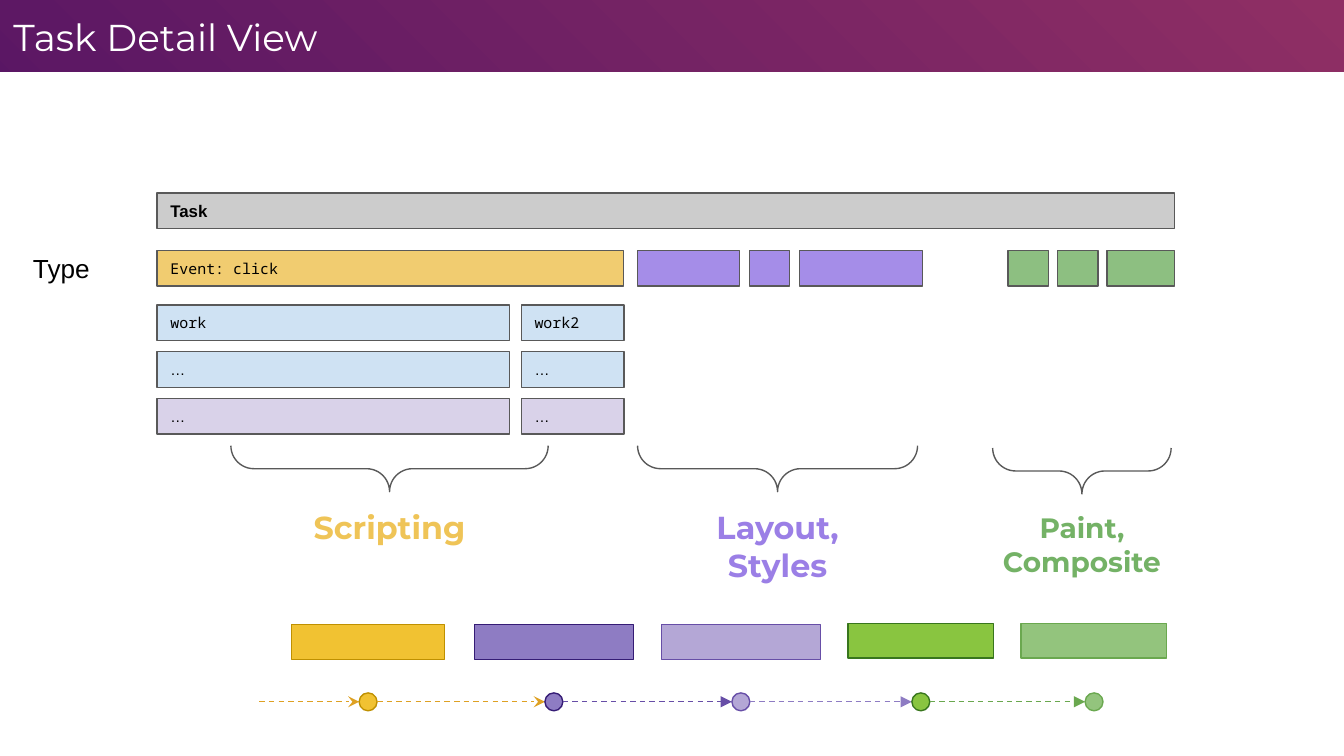
from pptx import Presentation
from pptx import util as u
from pptx.dml.color import RGBColor
from pptx.enum import dml, shapes, text
from pptx.oxml import parse_xml
from pptx.oxml.ns import nsdecls, qn

Pt = u.Pt
SHAPE = shapes.MSO_SHAPE

# Colours
WHITE, BLACK = RGBColor(255, 255, 255), RGBColor(0, 0, 0)
OUTLINE = RGBColor(0x59, 0x59, 0x59)
GRAY = RGBColor(0xCC, 0xCC, 0xCC)
YELLOW = RGBColor(0xEF, 0xC4, 0x57)
PURPLE = RGBColor(0x9B, 0x7F, 0xE6)
GREEN = RGBColor(0x74, 0xB2, 0x66)
PALE_BLUE = RGBColor(0xCF, 0xE2, 0xF3)
PALE_PURPLE = RGBColor(0xD9, 0xD2, 0xE9)
GOLD, DARK_GOLD = RGBColor(0xF1, 0xC2, 0x32), RGBColor(0xBF, 0x90, 0x00)
ORANGE = RGBColor(0xDE, 0xA1, 0x23)
VIOLET, DARK_VIOLET = RGBColor(0x8E, 0x7C, 0xC3), RGBColor(0x35, 0x1C, 0x75)
LILAC, INDIGO = RGBColor(0xB4, 0xA7, 0xD6), RGBColor(0x67, 0x4E, 0xA7)
LIME, DARK_LIME = RGBColor(0x89, 0xC5, 0x40), RGBColor(0x38, 0x76, 0x1D)
MINT, LEAF = RGBColor(0x93, 0xC4, 0x7D), RGBColor(0x6A, 0xA8, 0x4F)

# Content
MONO = "Noto Sans Mono"
BACKGROUND_STOPS = [(0, "F35C65"), (0, "8F2F64"), (64, "5D1864"), (100, "2B0163")]
TITLE_HEIGHT = 38.7
BAR_HEIGHT = 19
# top, fill, opacity, font, size, bold, [(left, width, label)]
BAR_ROWS = [
    (103.5, GRAY, 100, "Arial", 9, True, [(84.2, 545, "Task")]),
    (134.2, YELLOW, 85, MONO, 8, False, [(84.2, 250, "Event: click")]),
    (134.2, PURPLE, 89, MONO, 8, False,
     [(341.5, 54.8, ""), (401.4, 21.6, ""), (428.2, 66, "")]),
    (134.2, GREEN, 82, MONO, 8, False,
     [(540, 21.8, ""), (566.5, 21.8, ""), (593, 36.2, "")]),
]
CALL_ROWS = [(PALE_BLUE, MONO, ["work", "work2"]),
             (PALE_BLUE, "Arial", ["…", "…"]),
             (PALE_PURPLE, "Arial", ["…", "…"])]
CALL_COLUMNS = [(84.2, 188.7), (279.3, 55)]
CALL_TOP, CALL_PITCH = 163.4, 25.1
# centre, brace width, brace middle, label, label top, label width, height, size, colour
PHASES = [
    (208.7, 170, 251.1, "Scripting", 265, 99.4, 35.3, 17, YELLOW),
    (416.6, 150, 251.1, "Layout, Styles", 265, 91.4, 55.4, 17, PURPLE),
    (579.6, 95.6, 252.3, "Paint, Composite", 266.4, 135.4, 51.1, 15, GREEN),
]
BRACE_HEIGHT = 24.6
# centre, width, top, fill, line, colour and head of the arrow that leads in
STAGES = [
    (197.2, 82, 334.7, GOLD, DARK_GOLD, ORANGE, "stealth"),
    (296.7, 85.2, 334.7, VIOLET, DARK_VIOLET, ORANGE, "stealth"),
    (396.9, 85.2, 334.7, LILAC, INDIGO, INDIGO, "triangle"),
    (493.3, 78, 334.1, LIME, DARK_LIME, VIOLET, "triangle"),
    (586.1, 78, 334.1, MINT, LEAF, LEAF, "triangle"),
]
STAGE_HEIGHT = 18.5
DOT, TIMELINE_Y, TIMELINE_START = 9.6, 376, 138.9


def add_run(paragraph, words, font, size, color, bold=False):
    run = paragraph.add_run()
    run.text = words
    run.font.name, run.font.size, run.font.bold = font, Pt(size), bold
    run.font.color.rgb = color


def add_shape(kind, left, top, width, height, fill=None, line=None, opacity=100):
    shape = slide.shapes.add_shape(kind, Pt(left), Pt(top), Pt(width), Pt(height))
    shape.shadow.inherit = False
    if fill is None:
        shape.fill.background()
    else:
        shape.fill.solid()
        shape.fill.fore_color.rgb = fill
    if opacity < 100:
        color = shape._element.spPr.find(qn("a:solidFill"))[0]
        color.append(parse_xml(f'<a:alpha {nsdecls("a")} val="{opacity * 1000}"/>'))
    if line is None:
        shape.line.fill.background()
    else:
        shape.line.color.rgb, shape.line.width = line, Pt(0.75)
    return shape


def add_bar(left, top, width, label, fill, font, size, bold=False, opacity=100):
    bar = add_shape(SHAPE.RECTANGLE, left, top, width, BAR_HEIGHT, fill, OUTLINE, opacity)
    if label:
        frame = bar.text_frame
        frame.vertical_anchor = text.MSO_ANCHOR.MIDDLE
        frame.margin_left = frame.margin_right = Pt(7.2)
        frame.margin_top = frame.margin_bottom = Pt(7.2)
        frame.paragraphs[0].alignment = text.PP_ALIGN.LEFT
        add_run(frame.paragraphs[0], label, font, size, BLACK, bold)


def add_label(left, top, width, height, words, font, size, color, bold, alignment):
    box = slide.shapes.add_textbox(Pt(left), Pt(top), Pt(width), Pt(height))
    frame = box.text_frame
    frame.word_wrap = True
    frame.margin_left = frame.margin_right = Pt(7.2)
    frame.margin_top = frame.margin_bottom = Pt(7.2)
    frame.paragraphs[0].alignment = alignment
    add_run(frame.paragraphs[0], words, font, size, color, bold)


def add_arrow(start, end, color, head):
    arrow = slide.shapes.add_connector(
        shapes.MSO_CONNECTOR.CURVE, Pt(start), Pt(TIMELINE_Y), Pt(end), Pt(TIMELINE_Y))
    arrow.line.color.rgb, arrow.line.width = color, Pt(0.75)
    arrow.line.dash_style = dml.MSO_LINE.DASH
    arrow.line._get_or_add_ln().append(
        parse_xml(f'<a:tailEnd {nsdecls("a")} type="{head}"/>'))
    arrow._element.spPr.append(parse_xml(f'<a:effectLst {nsdecls("a")}/>'))


presentation = Presentation()
presentation.slide_width, presentation.slide_height = Pt(720), Pt(405)
slide = presentation.slides.add_slide(presentation.slide_layouts[5])

# Background gradient spreading from the top right corner
slide.background.fill.gradient()
gradient = slide._element.xpath(".//p:bgPr/a:gradFill")[0]
stops = "".join(f'<a:gs pos="{position * 1000}"><a:srgbClr val="{color}"/></a:gs>'
                for position, color in BACKGROUND_STOPS)
gradient.getparent().replace(gradient, parse_xml(
    f'<a:gradFill {nsdecls("a")}><a:gsLst>{stops}</a:gsLst><a:path path="circle">'
    '<a:fillToRect l="100000" b="100000"/></a:path></a:gradFill>'))

# White panel and title
add_shape(SHAPE.RECTANGLE, 0, TITLE_HEIGHT, 720, 405 - TITLE_HEIGHT, WHITE)
title = slide.shapes.title
title.left, title.top, title.width, title.height = Pt(0), Pt(0), Pt(649), Pt(TITLE_HEIGHT)
frame = title.text_frame
frame.auto_size = text.MSO_AUTO_SIZE.NONE
frame.vertical_anchor = text.MSO_ANCHOR.MIDDLE
frame.margin_left = frame.margin_right = frame.margin_top = frame.margin_bottom = Pt(7.2)
frame.paragraphs[0].alignment = text.PP_ALIGN.LEFT
add_run(frame.paragraphs[0], "Task Detail View", "Montserrat", 20, WHITE)

# Task bars and the call stack below them
for top, fill, opacity, font, size, bold, bars in BAR_ROWS:
    for left, width, label in bars:
        add_bar(left, top, width, label, fill, font, size, bold, opacity)
for row, (fill, font, labels) in enumerate(CALL_ROWS):
    for (left, width), label in zip(CALL_COLUMNS, labels):
        add_bar(left, CALL_TOP + row * CALL_PITCH, width, label, fill, font, 8)
add_label(10.6, 128.2, 61, 31.7, "Type", "Arial", 14, BLACK, False, text.PP_ALIGN.LEFT)

# Phases: a downward brace with its label centred below
for center, span, middle, label, top, width, height, size, color in PHASES:
    brace = add_shape(SHAPE.LEFT_BRACE, center - BRACE_HEIGHT / 2, middle - span / 2,
                      BRACE_HEIGHT, span, line=OUTLINE)
    brace.adjustments[0] = brace.adjustments[1] = 0.5
    brace.rotation = 90
    brace._element.spPr.xfrm.set("flipH", "1")
    add_label(center - width / 2, top, width, height, label, "Montserrat", size,
              color, True, text.PP_ALIGN.CENTER)

# Stages: a box above a dot, with an arrow from the previous dot
start = TIMELINE_START
for center, width, top, fill, line, arrow_color, head in STAGES:
    add_shape(SHAPE.RECTANGLE, center - width / 2, top, width, STAGE_HEIGHT, fill, line)
    add_arrow(start, center - DOT / 2, arrow_color, head)
    add_shape(SHAPE.OVAL, center - DOT / 2, TIMELINE_Y - DOT / 2, DOT, DOT, fill, line)
    start = center + DOT / 2

presentation.save("out.pptx")
